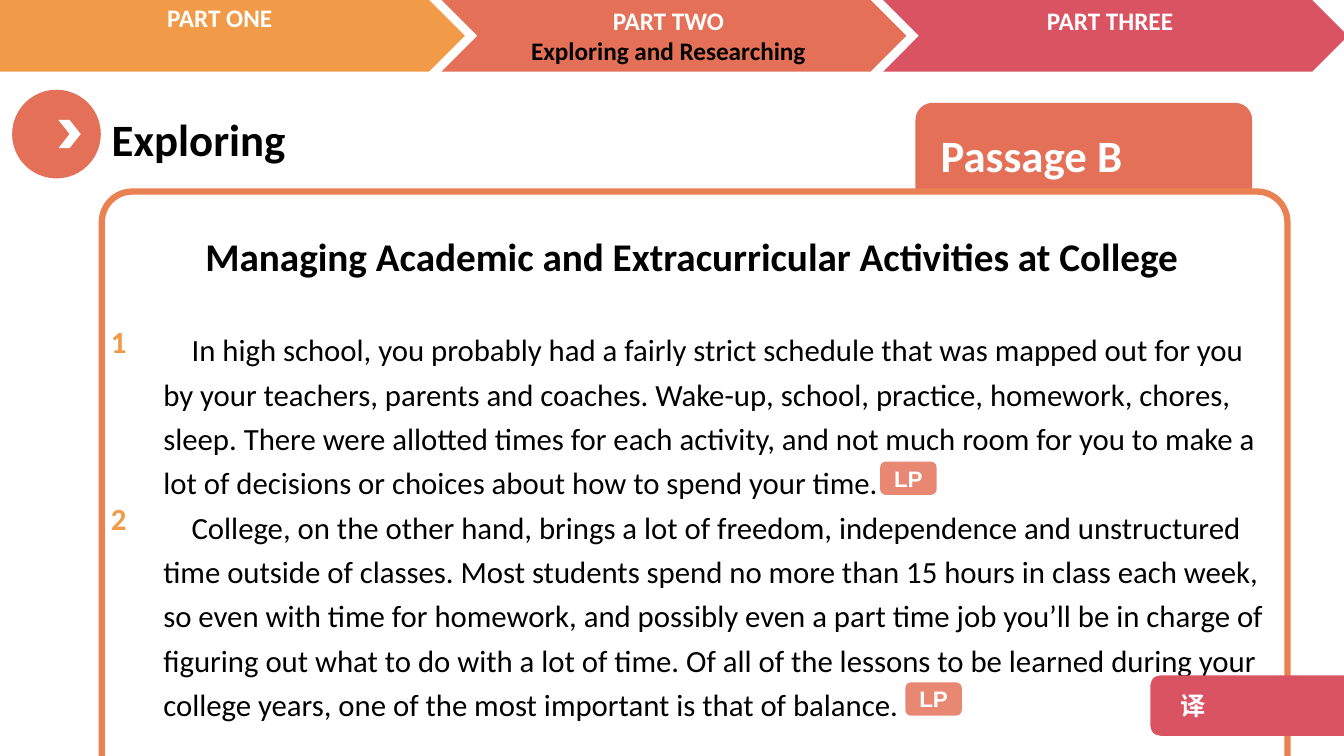
from pptx import Presentation
from pptx.dml.color import RGBColor
from pptx.enum.shapes import MSO_SHAPE as Preset
from pptx.enum.text import MSO_ANCHOR as Anchor, MSO_AUTO_SIZE as AutoSize, PP_ALIGN as Align
from pptx.oxml.ns import qn
from pptx.util import Inches, Pt
from lxml import etree

ORANGE = RGBColor(0xF1, 0x9B, 0x48)
CORAL = RGBColor(0xE4, 0x70, 0x57)
ROSE = RGBColor(0xDA, 0x53, 0x62)
FRAME = RGBColor(0xEA, 0x81, 0x52)
WHITE = RGBColor(0xFF, 0xFF, 0xFF)
BLACK = RGBColor(0, 0, 0)

HEADING = "Managing Academic and Extracurricular Activities at College"
PASSAGE = [
    "In high school, you probably had a fairly strict schedule that was mapped out for you "
    "by your teachers, parents and coaches. Wake-up, school, practice, homework, chores, "
    "sleep. There were allotted times for each activity, and not much room for you to make a "
    "lot of decisions or choices about how to spend your time.",
    "College, on the other hand, brings a lot of freedom, independence and unstructured "
    "time outside of classes. Most students spend no more than 15 hours in class each week, "
    "so even with time for homework, and possibly even a part time job you’ll be in charge of "
    "figuring out what to do with a lot of time. Of all of the lessons to be learned during your "
    "college years, one of the most important is that of balance.",
]


def place(shape, left, top, width, height):
    shape.left, shape.top = Inches(left), Inches(top)
    shape.width, shape.height = Inches(width), Inches(height)


def style(paragraph, size, color, bold=True, align=Align.LEFT, font_name="Calibri"):
    paragraph.alignment = align
    font = paragraph.font
    font.name, font.size, font.bold = font_name, Pt(size), bold
    font.color.rgb = color


def add_block(slide, preset, box, fill):
    shape = slide.shapes.add_shape(preset, *map(Inches, box))
    shape.shadow.inherit = False
    shape.fill.solid()
    shape.fill.fore_color.rgb = fill
    shape.line.fill.background()
    return shape


def add_label(slide, box, lines, size, align=Align.LEFT):
    frame = slide.shapes.add_textbox(*map(Inches, box)).text_frame
    frame.word_wrap = True
    frame.text = "\n".join(text for text, color in lines)
    for paragraph, (text, color) in zip(frame.paragraphs, lines):
        style(paragraph, size, color, align=align)


def add_tab(slide, box, fill, text, size, inset, **options):
    shape = add_block(slide, Preset.ROUNDED_RECTANGLE, box, fill)
    frame = shape.text_frame
    frame.margin_left = frame.margin_right = Inches(inset)
    frame.margin_top = frame.margin_bottom = 0
    frame.vertical_anchor = Anchor.MIDDLE
    frame.text = text
    style(frame.paragraphs[0], size, WHITE, **options)
    return shape


def add_badge(slide, left, top):
    badge = add_tab(slide, (left, top, 0.56, 0.33), CORAL, "LP", 16, 0,
                    align=Align.CENTER, font_name="Arial")
    color = badge.fill._xPr.find(".//" + qn("a:srgbClr"))
    etree.SubElement(color, qn("a:alpha")).set("val", "83000")


def fill_placeholder(placeholder, box, texts):
    placeholder.element.getparent().append(placeholder.element)
    place(placeholder, *box)
    frame = placeholder.text_frame
    frame.auto_size = AutoSize.NONE
    frame.word_wrap = True
    frame.vertical_anchor = Anchor.TOP
    frame.text = "\n".join(texts)
    return frame.paragraphs


def add_passage(slide):
    heading, = fill_placeholder(slide.shapes.title, (1.52, 2.25, 10.68, 0.6), [HEADING])
    style(heading, 28, BLACK, align=Align.CENTER)
    body = fill_placeholder(slide.placeholders[1], (1.52, 3.16, 11.15, 4.1), PASSAGE)
    for paragraph in body:
        properties = paragraph._p.get_or_add_pPr()
        properties.set("marL", "0")
        properties.set("indent", str(Inches(0.28)))
        etree.SubElement(properties, qn("a:buNone"))
        paragraph.line_spacing = 1.2
        paragraph.space_before = Pt(0)
        style(paragraph, 22, BLACK, bold=False)
    for number, top in (("1", 3.15), ("2", 4.91)):
        add_label(slide, (1, top, 0.51, 0.47), [(number, ORANGE)], 22)


def add_navigation(slide):
    for box, fill in (((4.38, 0, 4.61, 0.71), CORAL),
                      ((8.76, 0, 4.61, 0.71), ROSE),
                      ((-0.61, 0, 5.22, 0.71), ORANGE)):
        add_block(slide, Preset.CHEVRON, box, fill)
    for left, top, lines in (
        (-0.1, -0.03, [("PART ONE", WHITE)]),
        (4.35, 0, [("PART TWO", WHITE), ("Exploring and Researching", BLACK)]),
        (8.73, 0, [("PART THREE", WHITE)]),
    ):
        add_label(slide, (left, top, 4.56, 0.71), lines, 18, Align.CENTER)


def main():
    presentation = Presentation()
    presentation.slide_width, presentation.slide_height = Inches(13.33), Inches(7.5)
    slide = presentation.slides.add_slide(presentation.slide_layouts[1])

    add_navigation(slide)
    add_block(slide, Preset.OVAL, (0.12, 0.89, 0.88, 0.88), CORAL)
    add_block(slide, Preset.CHEVRON, (0.58, 1.19, 0.22, 0.28), WHITE)
    add_label(slide, (1.01, 1.06, 4.85, 0.64), [("Exploring", BLACK)], 32)
    add_tab(slide, (9.08, 1.02, 3.34, 1.02), CORAL, "Passage B", 32, 0.2)

    panel = add_block(slide, Preset.ROUNDED_RECTANGLE, (1.01, 1.9, 11.76, 6.45), WHITE)
    panel.adjustments[0] = 0.047
    panel.line.color.rgb = FRAME
    panel.line.width = Pt(4.5)
    add_passage(slide)

    translation = add_tab(slide, (11.41, 6.7, 2.13, 0.6), ROSE, "译", 18, 0.27,
                          font_name="Noto Sans CJK SC")
    latin = translation.element.find(".//" + qn("a:latin"))
    latin.addnext(latin.makeelement(qn("a:ea"), {"typeface": "Noto Sans CJK SC"}))
    add_badge(slide, 8.73, 4.58)
    add_badge(slide, 8.98, 6.77)

    presentation.save("out.pptx")


if __name__ == "__main__":
    main()
